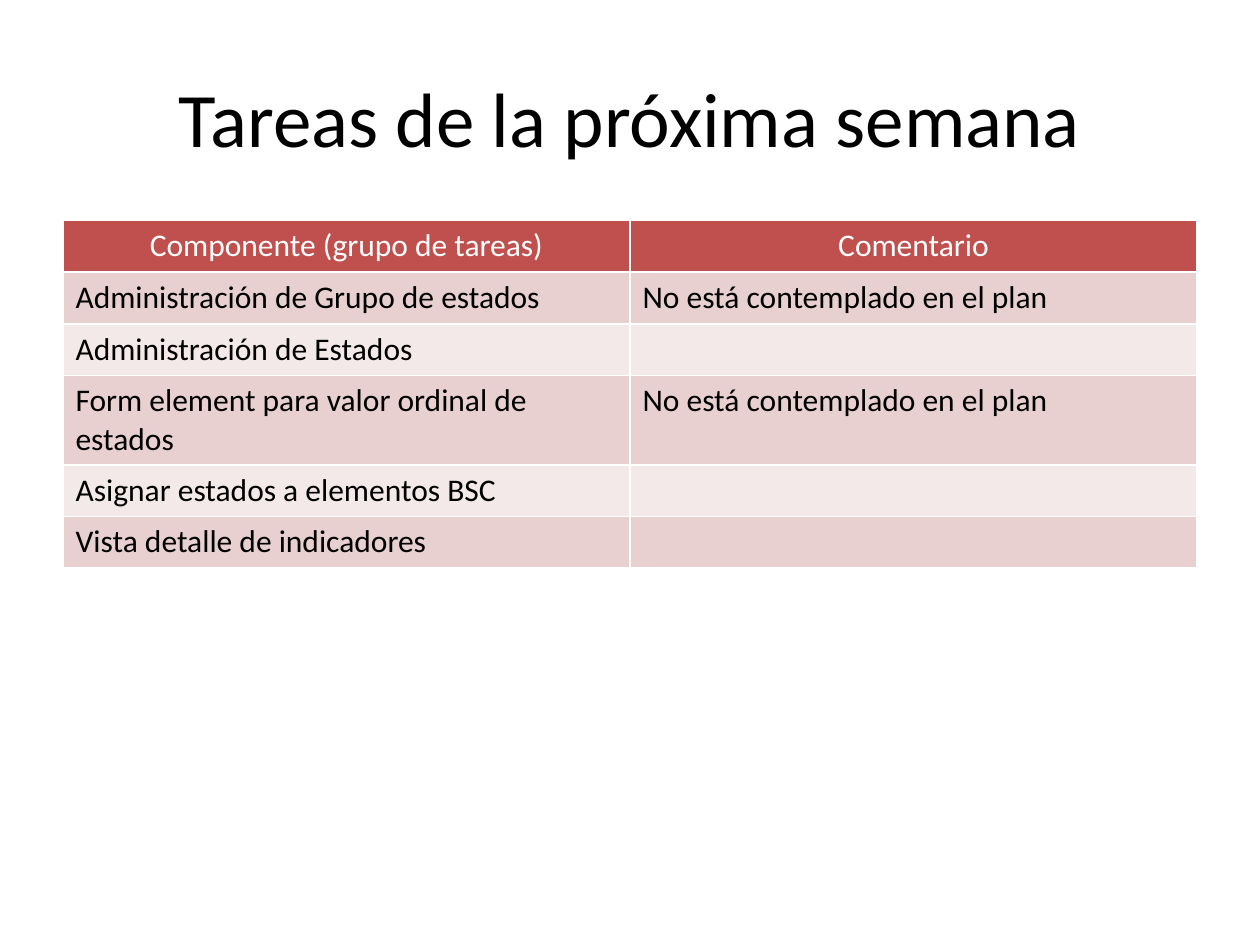
import pptx
import pptx.util
import pptx.dml.color
import pptx.enum.text

Inches = pptx.util.Inches
Pt = pptx.util.Pt
RGBColor = pptx.dml.color.RGBColor
CENTER = pptx.enum.text.PP_ALIGN.CENTER
LEFT = pptx.enum.text.PP_ALIGN.LEFT

BLACK = RGBColor(0x00, 0x00, 0x00)
WHITE = RGBColor(0xFF, 0xFF, 0xFF)
RED = RGBColor(0xC0, 0x50, 0x4D)
BANDS = [RGBColor(0xE8, 0xD0, 0xD0), RGBColor(0xF4, 0xE9, 0xE9)]
FONT = "Calibri"
ROW_HEIGHT = 0.41

TASKS = [
    ("Componente (grupo de tareas)", "Comentario"),
    ("Administración de Grupo de estados", "No está contemplado en el plan"),
    ("Administración de Estados", ""),
    ("Form element para valor ordinal de estados", "No está contemplado en el plan"),
    ("Asignar estados a elementos BSC", ""),
    ("Vista detalle de indicadores", ""),
]


def format_paragraph(p, size, color, align):
    p.alignment = align
    p.font.name = FONT
    p.font.size = Pt(size)
    p.font.bold = False
    p.font.color.rgb = color


def add_title(s, text, left, top, width, height):
    sp = s.shapes.title
    sp.left, sp.top = Inches(left), Inches(top)
    sp.width, sp.height = Inches(width), Inches(height)
    tf = sp.text_frame
    tf.text = text
    tf.vertical_anchor = pptx.enum.text.MSO_ANCHOR.MIDDLE
    format_paragraph(tf.paragraphs[0], 44, BLACK, CENTER)


def add_task_table(s, rows, left, top, width):
    table = s.shapes.add_table(
        len(rows), len(rows[0]), Inches(left), Inches(top),
        Inches(width), Inches(ROW_HEIGHT * len(rows))).table
    for i, row in enumerate(rows):
        header = i == 0
        for j, text in enumerate(row):
            cell = table.cell(i, j)
            cell.text = text
            cell.fill.solid()
            cell.fill.fore_color.rgb = RED if header else BANDS[(i - 1) % 2]
            format_paragraph(cell.text_frame.paragraphs[0], 18,
                             WHITE if header else BLACK,
                             CENTER if header else LEFT)


prs = pptx.Presentation()
prs.slide_width, prs.slide_height = Inches(10), Inches(7.5)
s = prs.slides.add_slide(prs.slide_layouts[5])
add_title(s, "Tareas de la próxima semana", 0.5, 0.3, 9, 1.25)
add_task_table(s, TASKS, 0.5, 1.75, 9)
prs.save("out.pptx")
